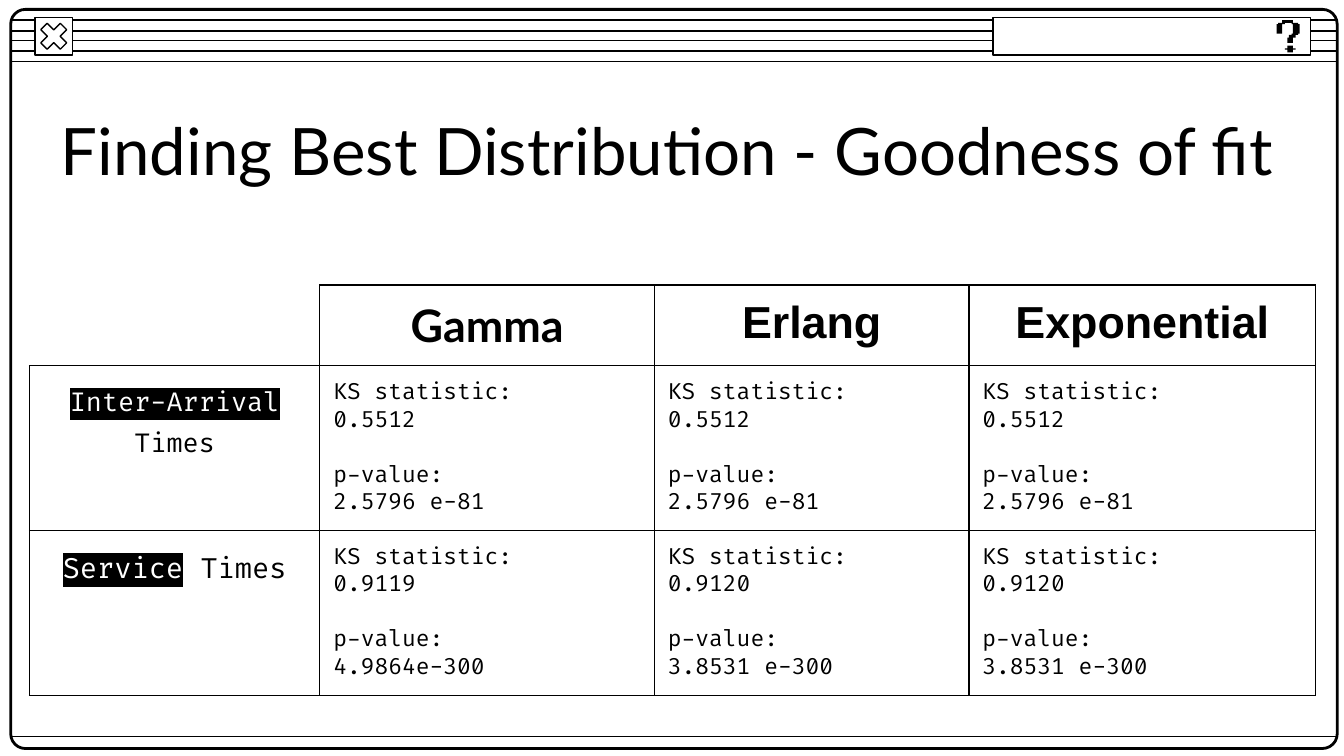
"""Build the goodness-of-fit slide: a retro window frame, a title and a results table."""
from lxml.etree import SubElement
from pptx import Presentation
from pptx.dml.color import RGBColor
from pptx.enum.shapes import MSO_CONNECTOR, MSO_SHAPE
from pptx.enum.text import MSO_ANCHOR, MSO_AUTO_SIZE, PP_ALIGN
from pptx.oxml.ns import qn
from pptx.util import Inches, Pt

BLACK = RGBColor(0x00, 0x00, 0x00)
WHITE = RGBColor(0xFF, 0xFF, 0xFF)

TITLE = "Finding Best Distribution - Goodness of fit"
HEADERS = [("Gamma", "Lato"), ("Erlang", "Arial"), ("Exponential", "Arial")]
ROWS = [
    ("Inter-Arrival", 14, [("0.5512", "2.5796 e-81")] * 3),
    ("Service", 15, [("0.9119", "4.9864e-300")] + [("0.9120", "3.8531 e-300")] * 2),
]
COLUMN_WIDTHS = [2.16, 2.49, 2.34, 2.58]
ROW_HEIGHTS = [0.6, 1.22, 1.23]
LEFT, RIGHT = 0.08, 9.95
BAR_LINES = [0.15, 0.23, 0.3, 0.38, 0.46]
FOOTER_LINE = 5.48

HOOK = [
    (954, 15), (954, 17), (951, 17), (951, 18), (950, 18), (950, 25), (954, 25),
    (954, 18), (956, 18), (956, 17), (961, 17), (961, 18), (962, 18), (962, 25),
    (961, 25), (961, 26), (959, 26), (959, 28), (958, 28), (958, 32), (962, 32),
    (962, 28), (964, 28), (964, 26), (966, 26), (966, 25), (967, 25), (967, 18),
    (966, 18), (966, 17), (962, 17), (962, 15),
]
DOT = [
    (958, 34), (958, 36), (956, 36), (956, 37), (958, 37), (958, 39),
    (962, 39), (962, 37), (964, 37), (964, 36), (962, 36), (962, 34),
]


def add_rule(s, y):
    line = s.shapes.add_connector(
        MSO_CONNECTOR.STRAIGHT, Inches(LEFT), Inches(y), Inches(RIGHT), Inches(y))
    line.line.color.rgb = BLACK
    line.line.width = Pt(0.75)
    SubElement(line._element.spPr, qn("a:effectLst"))


def add_box(s, kind, box, adjustment=None, fill=WHITE, weight=0.75):
    sp = s.shapes.add_shape(kind, *map(Inches, box))
    sp.shadow.inherit = False
    if adjustment is not None:
        sp.adjustments[0] = adjustment
    if fill is None:
        sp.fill.background()
    else:
        sp.fill.solid()
        sp.fill.fore_color.rgb = fill
    sp.line.color.rgb = BLACK
    sp.line.width = Pt(weight)


def add_glyph(s, points):
    builder = s.shapes.build_freeform(*points[0], scale=Inches(0.01))
    builder.add_line_segments(points[1:], close=True)
    sp = builder.convert_to_shape()
    sp.shadow.inherit = False
    sp.fill.solid()
    sp.fill.fore_color.rgb = BLACK
    sp.line.fill.background()


def add_run(p, text, size, font, color=BLACK, bold=False, highlight=None):
    r = p.add_run()
    r.text = text
    r.font.size = Pt(size)
    r.font.bold = bold
    r.font.color.rgb = color
    if highlight is not None:
        mark = SubElement(r._r.get_or_add_rPr(), qn("a:highlight"))
        SubElement(mark, qn("a:srgbClr"), val=str(highlight))
    r.font.name = font


def set_borders(cell, visible):
    tcPr = cell._tc.get_or_add_tcPr()
    for side in "LRTB":
        ln = SubElement(tcPr, qn(f"a:ln{side}"), w=str(Pt(0.75)))
        if side in visible:
            fill = SubElement(ln, qn("a:solidFill"))
            SubElement(fill, qn("a:srgbClr"), val=str(BLACK))
        else:
            SubElement(ln, qn("a:noFill"))


def add_window(s):
    for y in BAR_LINES:
        add_rule(s, y)
    add_box(s, MSO_SHAPE.ROUNDED_RECTANGLE, (LEFT, 0.07, RIGHT - LEFT, 5.5), 0.02, None, 1.5)
    close_box = (0.26, 0.13, 0.28, 0.28)
    add_box(s, MSO_SHAPE.RECTANGLE, close_box)
    add_box(s, MSO_SHAPE.MATH_MULTIPLY, close_box, 0.24)
    add_rule(s, FOOTER_LINE)
    add_box(s, MSO_SHAPE.RECTANGLE, (7.39, 0.13, 2.36, 0.28))
    for points in (DOT, HOOK):
        add_glyph(s, points)


def add_title(s):
    title = s.shapes.title
    title.left, title.top, title.width, title.height = map(Inches, (0.18, 0.65, 9.57, 0.93))
    tf = title.text_frame
    tf.auto_size = MSO_AUTO_SIZE.NONE
    tf.word_wrap = True
    tf.vertical_anchor = MSO_ANCHOR.MIDDLE
    tf.margin_left = tf.margin_right = tf.margin_top = tf.margin_bottom = Inches(0.1)
    tf.text = TITLE
    p = tf.paragraphs[0]
    p.alignment = PP_ALIGN.CENTER
    font = p.runs[0].font
    font.size, font.name, font.color.rgb = Pt(35), "Lato", BLACK


def fill_result(tf, statistic, p_value):
    lines = ["KS statistic:", statistic, "p-value:", p_value]
    for i, text in enumerate(lines):
        p = tf.paragraphs[0] if i == 0 else tf.add_paragraph()
        if text == "p-value:":
            p.space_before = Pt(14.7)
        add_run(p, text, 12, "Fira Code")


def add_results(s):
    frame = s.shapes.add_table(
        len(ROW_HEIGHTS), len(COLUMN_WIDTHS), Inches(0.22), Inches(2.12),
        Inches(sum(COLUMN_WIDTHS)), Inches(sum(ROW_HEIGHTS)))
    table = frame.table
    table.first_row = table.horz_banding = False
    for column, width in zip(table.columns, COLUMN_WIDTHS):
        column.width = Inches(width)
    for row, height in zip(table.rows, ROW_HEIGHTS):
        row.height = Inches(height)
    for i, cell in enumerate(table.iter_cells()):
        cell.margin_left = cell.margin_right = cell.margin_top = cell.margin_bottom = Inches(0.1)
        set_borders(cell, "RB" if i == 0 else "LRTB")
        cell.fill.background()
    for c, (name, font) in enumerate(HEADERS, 1):
        p = table.cell(0, c).text_frame.paragraphs[0]
        p.alignment = PP_ALIGN.CENTER
        add_run(p, name, 24, font, bold=True)
    for r, (name, size, results) in enumerate(ROWS, 1):
        p = table.cell(r, 0).text_frame.paragraphs[0]
        p.alignment = PP_ALIGN.CENTER
        p.line_spacing = 1.27
        add_run(p, name, size, "Fira Code", WHITE, highlight=BLACK)
        add_run(p, " Times", size, "Fira Code")
        for c, result in enumerate(results, 1):
            fill_result(table.cell(r, c).text_frame, *result)


def main():
    prs = Presentation()
    prs.slide_width, prs.slide_height = Inches(10), Inches(5.625)
    s = prs.slides.add_slide(prs.slide_layouts[5])
    add_window(s)
    add_title(s)
    add_results(s)
    prs.save("out.pptx")


if __name__ == "__main__":
    main()
